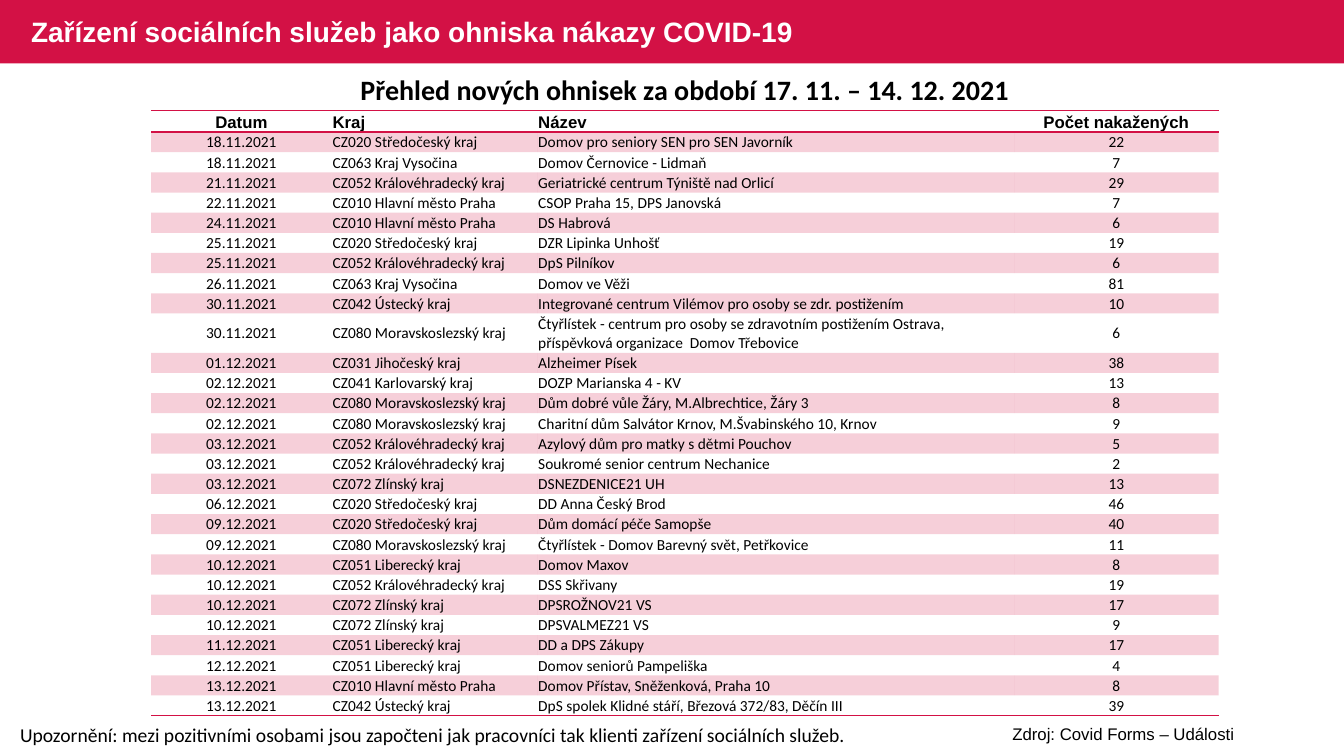
from dataclasses import dataclass

import lxml.etree
import pptx
import pptx.dml.color
import pptx.enum.shapes
import pptx.enum.text
import pptx.oxml.ns
import pptx.util

COLORS = {"crimson": "D31145", "white": "FFFFFF", "black": "000000"}
GRID = 0.1  # inches per grid column and per grid row
SLIDE_COLS, SLIDE_ROWS = 133.33, 75
NO_GRID_STYLE = "{2D5ABB26-0587-4C30-8999-92F81FD0307C}"

LEFT = pptx.enum.text.PP_ALIGN.LEFT
CENTER = pptx.enum.text.PP_ALIGN.CENTER
TOP = pptx.enum.text.MSO_ANCHOR.TOP
MIDDLE = pptx.enum.text.MSO_ANCHOR.MIDDLE
BOTTOM = pptx.enum.text.MSO_ANCHOR.BOTTOM


@dataclass
class Style:
    font: str
    size: int
    bold: bool = False
    color: str = "black"


@dataclass
class Caption:
    text: str
    col: float
    row: float
    cols: float
    rows: float
    style: Style
    align: pptx.enum.text.PP_ALIGN = LEFT
    anchor: pptx.enum.text.MSO_ANCHOR = TOP
    line_spacing: float = 1.0


@dataclass
class Column:
    heading: str
    cols: float
    align: pptx.enum.text.PP_ALIGN


@dataclass
class Outbreak:
    date: str
    region: str
    facility: str
    infected: int
    rows: float = 2


CAPTIONS = [
    Caption("Upozornění: mezi pozitivními osobami jsou započteni jak pracovníci "
            "tak klienti zařízení sociálních služeb.",
            1, 71.2, 85.2, 3.4, Style("Calibri", 14)),
    Caption("Přehled nových ohnisek za období 17. 11. – 14. 12. 2021",
            5.3, 6.7, 125.3, 4.4, Style("Calibri", 20, True), CENTER),
    Caption("Zařízení sociálních služeb jako ohniska nákazy COVID-19",
            2.1, 0.2, 81.3, 6.3, Style("Arial", 20, True, "white"), LEFT, MIDDLE, 0.9),
    Caption("Zdroj: Covid Forms – Události",
            90.6, 71.3, 41.7, 3, Style("Arial", 12), CENTER),
]

COLUMNS = [
    Column("Datum", 17.9, CENTER),
    Column("Kraj", 20.4, LEFT),
    Column("Název", 47.3, LEFT),
    Column("Počet nakažených", 20.3, CENTER),
]

OUTBREAKS = [
    Outbreak("18.11.2021", "CZ020 Středočeský kraj", "Domov pro seniory SEN pro SEN Javorník", 22),
    Outbreak("18.11.2021", "CZ063 Kraj Vysočina", "Domov Černovice - Lidmaň", 7),
    Outbreak("21.11.2021", "CZ052 Královéhradecký kraj", "Geriatrické centrum Týniště nad Orlicí", 29),
    Outbreak("22.11.2021", "CZ010 Hlavní město Praha", "CSOP Praha 15, DPS Janovská", 7),
    Outbreak("24.11.2021", "CZ010 Hlavní město Praha", "DS Habrová", 6),
    Outbreak("25.11.2021", "CZ020 Středočeský kraj", "DZR Lipinka Unhošť", 19),
    Outbreak("25.11.2021", "CZ052 Královéhradecký kraj", "DpS Pilníkov", 6),
    Outbreak("26.11.2021", "CZ063 Kraj Vysočina", "Domov ve Věži", 81),
    Outbreak("30.11.2021", "CZ042 Ústecký kraj",
             "Integrované centrum Vilémov pro osoby se zdr. postižením", 10),
    Outbreak("30.11.2021", "CZ080 Moravskoslezský kraj",
             "Čtyřlístek - centrum pro osoby se zdravotním postižením Ostrava, "
             "příspěvková organizace  Domov Třebovice", 6, 3.9),
    Outbreak("01.12.2021", "CZ031 Jihočeský kraj", "Alzheimer Písek", 38),
    Outbreak("02.12.2021", "CZ041 Karlovarský kraj", "DOZP Marianska 4 - KV", 13),
    Outbreak("02.12.2021", "CZ080 Moravskoslezský kraj", "Dům dobré vůle Žáry, M.Albrechtice, Žáry 3", 8),
    Outbreak("02.12.2021", "CZ080 Moravskoslezský kraj",
             "Charitní dům Salvátor Krnov, M.Švabinského 10, Krnov", 9),
    Outbreak("03.12.2021", "CZ052 Královéhradecký kraj", "Azylový dům pro matky s dětmi Pouchov", 5),
    Outbreak("03.12.2021", "CZ052 Královéhradecký kraj", "Soukromé senior centrum Nechanice", 2),
    Outbreak("03.12.2021", "CZ072 Zlínský kraj", "DSNEZDENICE21 UH", 13),
    Outbreak("06.12.2021", "CZ020 Středočeský kraj", "DD Anna Český Brod", 46),
    Outbreak("09.12.2021", "CZ020 Středočeský kraj", "Dům domácí péče Samopše", 40),
    Outbreak("09.12.2021", "CZ080 Moravskoslezský kraj", "Čtyřlístek - Domov Barevný svět, Petřkovice", 11),
    Outbreak("10.12.2021", "CZ051 Liberecký kraj", "Domov Maxov", 8),
    Outbreak("10.12.2021", "CZ052 Královéhradecký kraj", "DSS Skřivany", 19),
    Outbreak("10.12.2021", "CZ072 Zlínský kraj", "DPSROŽNOV21 VS", 17),
    Outbreak("10.12.2021", "CZ072 Zlínský kraj", "DPSVALMEZ21 VS", 9),
    Outbreak("11.12.2021", "CZ051 Liberecký kraj", "DD a DPS Zákupy", 17),
    Outbreak("12.12.2021", "CZ051 Liberecký kraj", "Domov seniorů Pampeliška", 4),
    Outbreak("13.12.2021", "CZ010 Hlavní město Praha", "Domov Přístav, Sněženková, Praha 10", 8),
    Outbreak("13.12.2021", "CZ042 Ústecký kraj", "DpS spolek Klidné stáří, Březová 372/83, Děčín III", 39),
]


def units(count: float) -> int:
    return pptx.util.Inches(count * GRID)


def rgb(name: str) -> pptx.dml.color.RGBColor:
    return pptx.dml.color.RGBColor.from_string(COLORS[name])


def write(frame, text: str, style: Style, align, line_spacing: float = 1.0) -> None:
    paragraph = frame.paragraphs[0]
    paragraph.alignment = align
    paragraph.line_spacing = line_spacing
    run = paragraph.add_run()
    run.text = text
    run.font.name = style.font
    run.font.size = pptx.util.Pt(style.size)
    run.font.bold = style.bold
    run.font.color.rgb = rgb(style.color)


def draw_banner(slide) -> None:
    banner = slide.shapes.add_shape(pptx.enum.shapes.MSO_SHAPE.RECTANGLE,
                                    0, 0, units(SLIDE_COLS), units(6.3))
    banner.shadow.inherit = False
    banner.fill.solid()
    banner.fill.fore_color.rgb = rgb("crimson")
    banner.line.fill.background()


def draw_caption(slide, caption: Caption) -> None:
    box = slide.shapes.add_textbox(units(caption.col), units(caption.row),
                                   units(caption.cols), units(caption.rows))
    box.text_frame.word_wrap = True
    box.text_frame.vertical_anchor = caption.anchor
    write(box.text_frame, caption.text, caption.style, caption.align, caption.line_spacing)


def add_rule(cell, side: str) -> None:
    qn = pptx.oxml.ns.qn
    rule = lxml.etree.Element(qn(f"a:ln{side}"), w=str(pptx.util.Pt(1)))
    fill = lxml.etree.SubElement(rule, qn("a:solidFill"))
    lxml.etree.SubElement(fill, qn("a:srgbClr"), val=COLORS["crimson"])
    cell._tc.get_or_add_tcPr().insert(0, rule)


def fill_cell(cell, text: str, style: Style, align, anchor, banded: bool) -> None:
    cell.margin_left = cell.margin_right = units(0.1)
    cell.margin_top = units(0.1 if anchor == MIDDLE else 0)
    cell.margin_bottom = 0
    cell.vertical_anchor = anchor
    write(cell.text_frame, text, style, align)
    if not banded:
        cell.fill.background()
        return
    cell.fill.solid()
    cell.fill.fore_color.rgb = rgb("crimson")
    tint = next(cell._tc.tcPr.iter(pptx.oxml.ns.qn("a:srgbClr")))
    lxml.etree.SubElement(tint, pptx.oxml.ns.qn("a:alpha"), val="20000")


def draw_outbreaks(slide) -> None:
    heights = [2.1] + [outbreak.rows for outbreak in OUTBREAKS]
    frame = slide.shapes.add_table(len(heights), len(COLUMNS), units(15), units(11),
                                   units(sum(c.cols for c in COLUMNS)), units(sum(heights)))
    table = frame.table
    table.first_row = table.horz_banding = False
    next(table._tbl.iter(pptx.oxml.ns.qn("a:tableStyleId"))).text = NO_GRID_STYLE
    for row, height in zip(table.rows, heights):
        row.height = units(height)
    heading_style, entry_style = Style("Arial", 12, True), Style("Calibri", 11)
    for index, column in enumerate(COLUMNS):
        table.columns[index].width = units(column.cols)
        heading = table.cell(0, index)
        fill_cell(heading, column.heading, heading_style, column.align, BOTTOM, False)
        for number, outbreak in enumerate(OUTBREAKS, start=1):
            entry = (outbreak.date, outbreak.region, outbreak.facility, str(outbreak.infected))[index]
            fill_cell(table.cell(number, index), entry, entry_style, column.align, MIDDLE, number % 2 == 1)
        add_rule(heading, "B")
        add_rule(heading, "T")
        add_rule(table.cell(len(OUTBREAKS), index), "B")


def main() -> None:
    deck = pptx.Presentation()
    deck.slide_width, deck.slide_height = units(SLIDE_COLS), units(SLIDE_ROWS)
    slide = deck.slides.add_slide(deck.slide_layouts[6])
    # Banner behind the title
    draw_banner(slide)
    # Title, subtitle and footnotes
    for caption in CAPTIONS:
        draw_caption(slide, caption)
    # Table of outbreaks
    draw_outbreaks(slide)
    deck.save("out.pptx")


if __name__ == "__main__":
    main()
